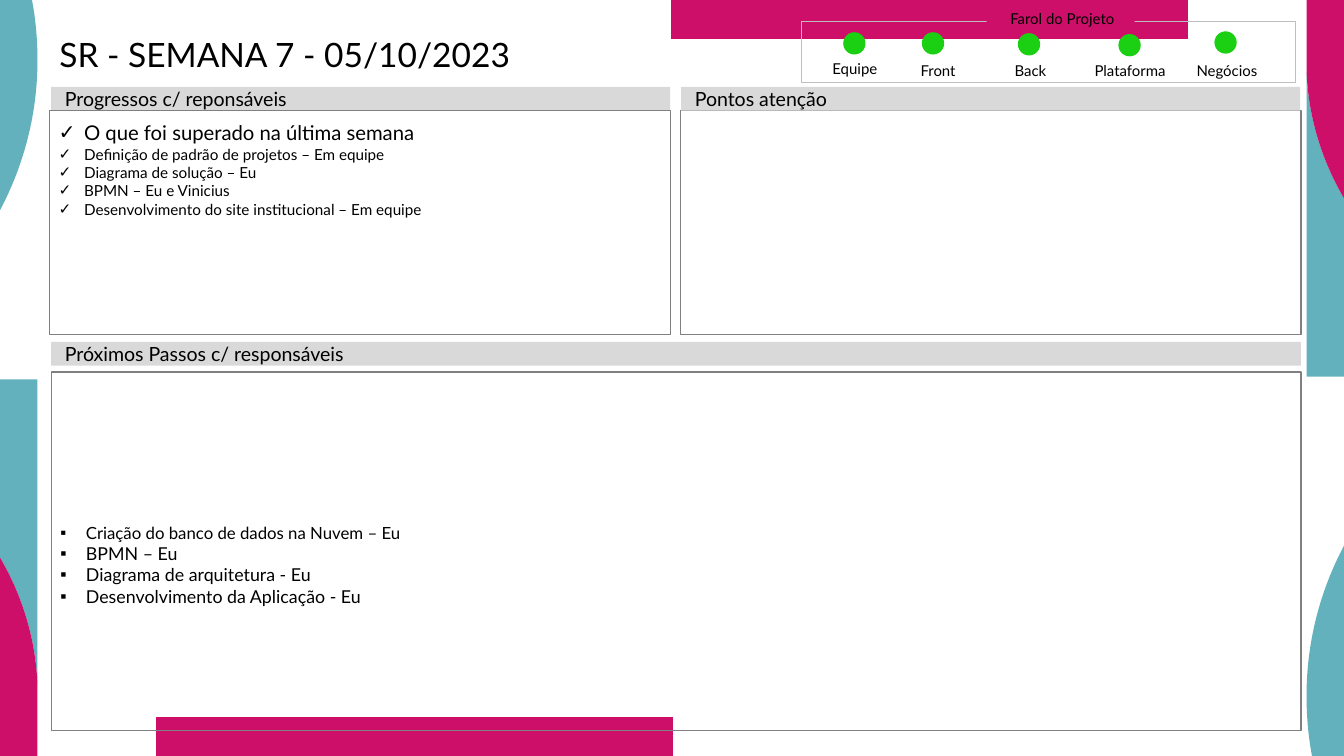
from dataclasses import dataclass
from lxml.etree import SubElement
from pptx import Presentation
from pptx.dml.color import RGBColor as Rgb
from pptx.enum.shapes import MSO_SHAPE as Geo
from pptx.enum.text import MSO_ANCHOR as Anchor, MSO_AUTO_SIZE as Fit, PP_ALIGN as Align
from pptx.oxml.ns import qn
from pptx.util import Inches, Pt


@dataclass(frozen=True)
class Theme:
    font: str = "Lato"
    ink: str = "000000"
    teal: str = "63B1BC"
    pink: str = "CE0F69"
    green: str = "1BCF13"
    band: str = "D9D9D9"
    edge: str = "808080"
    pale: str = "BFBFBF"
    title: float = 26.4
    head: float = 15.4
    label: float = 11.8


T = Theme()

# Content
TITLE = "SR - SEMANA 7 - 05/10/2023"
HEADS = ["Progressos c/ reponsáveis", "Pontos atenção", "Próximos Passos c/ responsáveis"]
DONE = [
    ("O que foi superado na última semana", 16),
    ("Definição de padrão de projetos – Em equipe", 12),
    ("Diagrama de solução – Eu", 12),
    ("BPMN – Eu e Vinicius", 12),
    ("Desenvolvimento do site institucional – Em equipe", 12),
]
NEXT = [
    ("Criação do banco de dados na Nuvem – Eu", 13.2),
    ("BPMN – Eu", 14),
    ("Diagrama de arquitetura - Eu", 14),
    ("Desenvolvimento da Aplicação - Eu", 14),
]
LIGHTS_HEAD = "Farol do Projeto"
# name, left and top of light, left and top of label
LIGHTS = [
    ("Equipe", (9.23, 0.36), (8.86, 0.65)),
    ("Front", (10.09, 0.36), (9.77, 0.67)),
    ("Back", (11.14, 0.37), (10.78, 0.67)),
    ("Plataforma", (12.24, 0.38), (11.87, 0.67)),
    ("Negócios", (13.29, 0.35), (12.93, 0.67)),
]

# Grid
WIDE, HIGH = 14.7, 8.27
SIDE = 0.41
LEFT, RIGHT = 0.56, 14.23
HALF, COL2 = 6.77, 7.45
ROW1, ROW2 = 0.95, 3.74
BAND = 0.26
UPPER, LOWER = (ROW1 + BAND, 2.45), (4.07, 3.92)
HANG, DOT = 0.28, 0.23
TAG = (0.98, 0.2)

# Edge art for one half; the other half is the same turned by 180 degrees
EDGE = WIDE - SIDE
ARC = [(WIDE, 2.17), (14.46, 1.76), (14.31, 1.29), (EDGE, 0.78)]
BOW = [(0, 2.3), (0.26, 1.81), (SIDE, 1.25), (SIDE, 0.66)]
TIP = [(SIDE, 0.43), (0.39, 0.21), (0.35, 0)]
# points, where each curve starts among the segments, colour
ART = [
    ([(0, 0)] + BOW + TIP, [1, 4], T.teal),
    ([(7.34, 0), (12.99, 0), (12.99, 0.43), (7.34, 0.43)], [], T.pink),
    ([(EDGE, 4.12), (WIDE, 4.12)] + ARC, [2], T.teal),
    ([(EDGE, 0), (WIDE, 0)] + ARC, [2], T.pink),
]

prs = Presentation()
prs.slide_width, prs.slide_height = Inches(WIDE), Inches(HIGH)
slide = prs.slides.add_slide(prs.slide_layouts[3])
shapes = slide.shapes
title, done, todo = slide.placeholders


def paint(shape, fill=None, line=None, width=1):
    if fill:
        shape.fill.solid()
        shape.fill.fore_color.rgb = Rgb.from_string(fill)
    else:
        shape.fill.background()
    if line:
        shape.line.color.rgb = Rgb.from_string(line)
        shape.line.width = Pt(width)
    else:
        shape.line.fill.background()


def draw(geo, box, fill=None, line=None, width=1):
    shape = shapes.add_shape(geo, *map(Inches, box))
    shape.shadow.inherit = False
    paint(shape, fill, line, width)
    return shape


def bend(shape, starts):
    """Turn each run of three straight segments into one Bézier curve."""
    segs = list(shape._element.iter(qn("a:lnTo")))
    for i in starts:
        first, *rest = segs[i:i + 3]
        curve = first.makeelement(qn("a:cubicBezTo"))
        first.addprevious(curve)
        for seg in (first, *rest):
            curve.append(seg[0])
            seg.getparent().remove(seg)


def style(para, size, align=Align.LEFT):
    para.alignment = align
    for run in para.runs:
        run.font.name, run.font.size = T.font, Pt(size)
        run.font.color.rgb = Rgb.from_string(T.ink)


def frame(shape, pads, anchor, wrap=True):
    tf = shape.text_frame
    tf.auto_size, tf.word_wrap, tf.vertical_anchor = Fit.NONE, wrap, anchor
    tf.margin_left, tf.margin_top, tf.margin_right, tf.margin_bottom = map(Inches, pads)
    return tf


def write(shape, text, size, pads, anchor, align=Align.LEFT, wrap=True):
    tf = frame(shape, pads, anchor, wrap)
    tf.text = text
    style(tf.paragraphs[0], size, align)


def tag(shape, text, pad=0.06):
    write(shape, text, T.label, (pad, 0.06, 0.06, 0), Anchor.BOTTOM, Align.CENTER, False)


def place(shape, box):
    shape.left, shape.top, shape.width, shape.height = map(Inches, box)
    shapes._spTree.append(shape._element)


def fill_list(shape, box, items, mark, top, anchor):
    place(shape, box)
    paint(shape, line=T.edge)
    tf = frame(shape, (0.1, top, 0.1, 0.05), anchor)
    tf.text = "\n".join(text for text, _ in items)
    for para, (_, size) in zip(tf.paragraphs, items):
        style(para, size)
        para.space_before = para.space_after = Pt(0)
        ppr = para._p.get_or_add_pPr()
        ppr.set("marL", str(Inches(HANG)))
        ppr.set("indent", str(-Inches(HANG)))
        SubElement(ppr, qn("a:buChar")).set("char", mark)


# Edge art
for turn in (False, True):
    for pts, starts, color in ART:
        if turn:
            pts = [(WIDE - x, HIGH - y) for x, y in pts]
        pts = [(Inches(x), Inches(y)) for x, y in pts]
        pen = shapes.build_freeform(*pts[0], scale=1.0)
        pen.add_line_segments(pts[1:], close=True)
        art = pen.convert_to_shape()
        art.shadow.inherit = False
        paint(art, color)
        bend(art, starts)

# Title
place(title, (0.53, 0.42, 13.23, 0.88))
write(title, TITLE, T.title, (0.12, 0, 0.12, 0), Anchor.TOP)
title.text_frame.paragraphs[0].line_spacing = 0.9

# Panels and their headings
draw(Geo.RECTANGLE, (COL2 - 0.01, UPPER[0], 6.79, UPPER[1]), line=T.edge)
spans = [(LEFT, ROW1, HALF), (COL2, ROW1, HALF), (LEFT, ROW2, RIGHT - LEFT)]
for text, (x, y, w) in zip(HEADS, spans):
    band = draw(Geo.RECTANGLE, (x, y, w, BAND), T.band)
    write(band, text, T.head, (0.15, 0.07, 0.15, 0.07), Anchor.MIDDLE)
fill_list(done, (LEFT - 0.02, UPPER[0], 6.79, UPPER[1]), DONE, "✓", 0.11, Anchor.TOP)
fill_list(todo, (LEFT, LOWER[0], RIGHT - LEFT, LOWER[1]), NEXT, "▪", 0.34, Anchor.MIDDLE)

# Project lights
for name, dot, spot in LIGHTS:
    draw(Geo.OVAL, (*dot, DOT, DOT), T.green, T.green)
    tag(shapes.add_textbox(*map(Inches, spot + TAG)), name)
draw(Geo.RECTANGLE, (8.77, 0.23, 5.4, 0.67), line=T.pale, width=0.5)
tag(draw(Geo.RECTANGLE, (10.79, 0.07, 1.62, 0.23), T.pink), LIGHTS_HEAD, 0.1)

prs.save("out.pptx")
